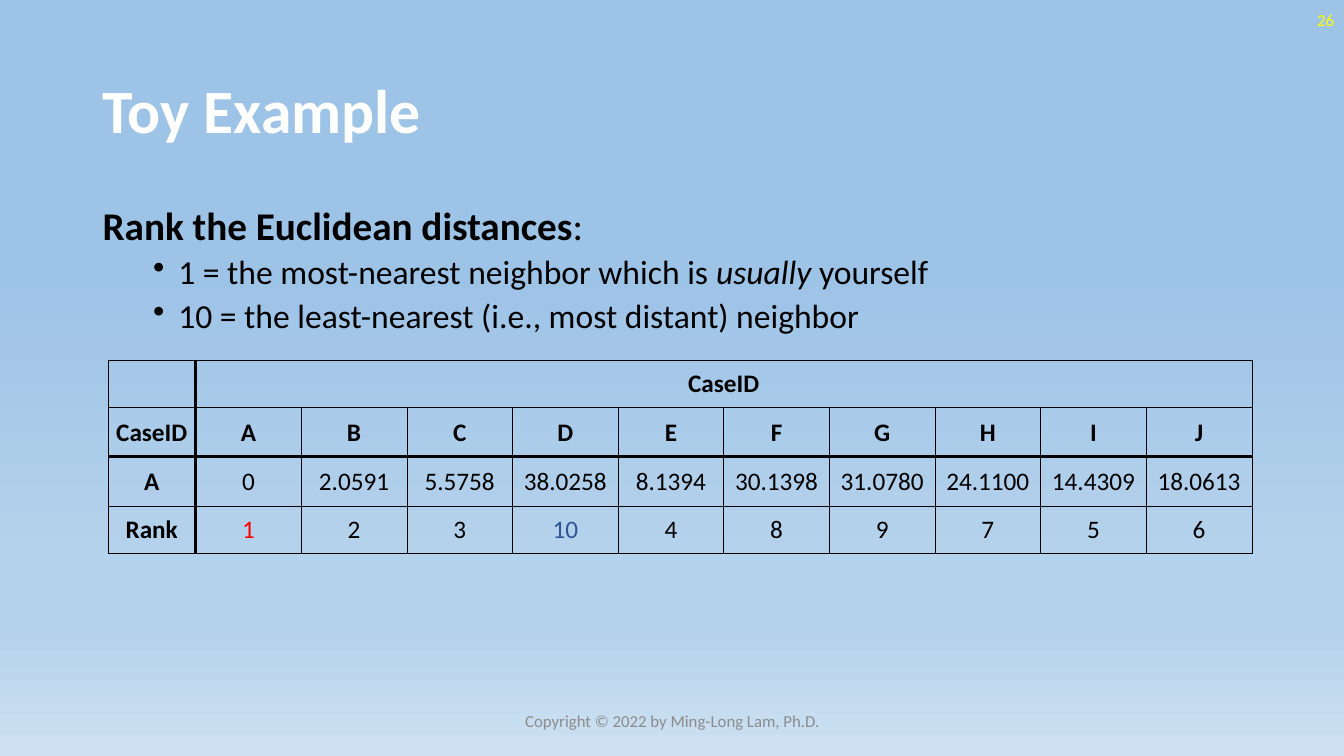
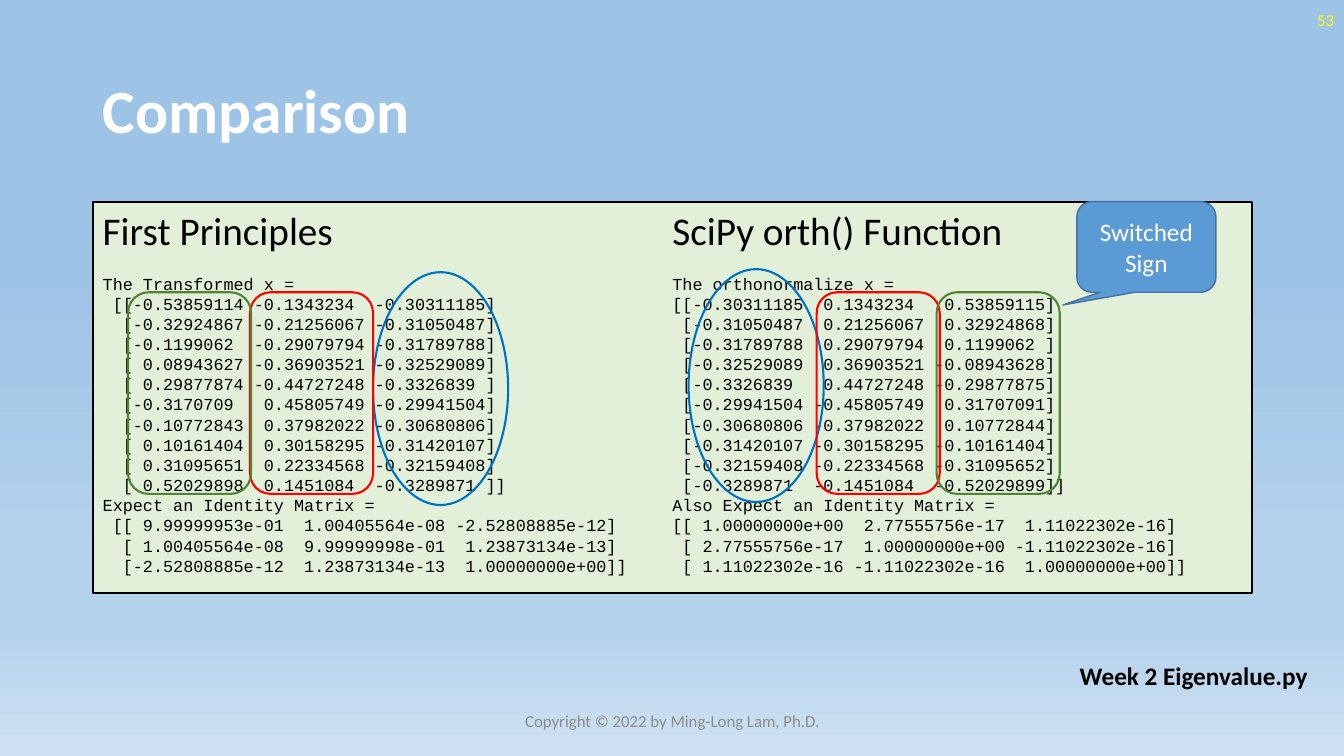
from dataclasses import dataclass

from lxml import etree
from pptx import Presentation
from pptx.dml import color as c
from pptx.enum import shapes as s, text as t
from pptx.oxml import ns
from pptx.util import Inches, Pt


@dataclass(frozen=True)
class Theme:
    font: str = "Calibri"
    code_font: str = "Courier New"
    black: str = "000000"
    white: str = "FFFFFF"
    number: str = "FFFF00"
    footer: str = "8C8C8C"
    panel: str = "E2F0D9"
    red: str = "FF0000"
    blue: str = "0070C0"
    green: str = "548235"
    farthest: str = "2F5597"
    callout: str = "5B9BD5"
    callout_line: str = "43739E"
    background: tuple = ((35, "9DC3E6"), (74, "B5D2EC"), (83, "B5D2EC"), (100, "CEE1F2"))
    title_size: float = 44
    heading_size: float = 28
    bullet_size: float = 24
    label_size: float = 18
    small_size: float = 12
    code_leading: float = 14.4
    thin: float = 0.5
    outline: float = 1.5
    thick: float = 2


THEME = Theme()
FOOTER = "Copyright © 2022 by Ming-Long Lam, Ph.D."

RANK_HEADING = [("Rank the Euclidean distances", {"bold": True}), (":", {})]
RANK_BULLETS = [
    [("1 = the most-nearest neighbor which is ", {}), ("usually", {"italic": True}),
     (" yourself", {})],
    "10 = the least-nearest (i.e., most distant) neighbor",
]
DISTANCE_ROWS = [
    ["", "CaseID"],
    ["CaseID", *"ABCDEFGHIJ"],
    ["A", "0", "2.0591", "5.5758", "38.0258", "8.1394", "30.1398", "31.0780",
     "24.1100", "14.4309", "18.0613"],
    ["Rank", "1", "2", "3", "10", "4", "8", "9", "7", "5", "6"],
]
RANK_COLORS = {"1": THEME.red, "10": THEME.farthest}

RESULTS = [
    ("First Principles", """\
The Transformed x =
 [[-0.53859114 -0.1343234  -0.30311185]
  [-0.32924867 -0.21256067 -0.31050487]
  [-0.1199062  -0.29079794 -0.31789788]
  [ 0.08943627 -0.36903521 -0.32529089]
  [ 0.29877874 -0.44727248 -0.3326839 ]
  [-0.3170709   0.45805749 -0.29941504]
  [-0.10772843  0.37982022 -0.30680806]
  [ 0.10161404  0.30158295 -0.31420107]
  [ 0.31095651  0.22334568 -0.32159408]
  [ 0.52029898  0.1451084  -0.3289871 ]]
Expect an Identity Matrix =
 [[ 9.99999953e-01  1.00405564e-08 -2.52808885e-12]
  [ 1.00405564e-08  9.99999998e-01  1.23873134e-13]
  [-2.52808885e-12  1.23873134e-13  1.00000000e+00]]"""),
    ("SciPy orth() Function", """\
The orthonormalize x =
[[-0.30311185  0.1343234   0.53859115]
 [-0.31050487  0.21256067  0.32924868]
 [-0.31789788  0.29079794  0.1199062 ]
 [-0.32529089  0.36903521 -0.08943628]
 [-0.3326839   0.44727248 -0.29877875]
 [-0.29941504 -0.45805749  0.31707091]
 [-0.30680806 -0.37982022  0.10772844]
 [-0.31420107 -0.30158295 -0.10161404]
 [-0.32159408 -0.22334568 -0.31095652]
 [-0.3289871  -0.1451084  -0.52029899]]
Also Expect an Identity Matrix =
[[ 1.00000000e+00  2.77555756e-17  1.11022302e-16]
 [ 2.77555756e-17  1.00000000e+00 -1.11022302e-16]
 [ 1.11022302e-16 -1.11022302e-16  1.00000000e+00]]"""),
]
OVAL_SIZE = (1.34, 2.31)
FRAME_SIZE = (1.22, 2)
COLUMN_MARKS = [
    (s.MSO_SHAPE.OVAL, THEME.blue, OVAL_SIZE, [(3.7, 2.7), (6.83, 2.67)]),
    (s.MSO_SHAPE.ROUNDED_RECTANGLE, THEME.red, FRAME_SIZE, [(2.48, 2.9), (8.1, 2.9)]),
    (s.MSO_SHAPE.ROUNDED_RECTANGLE, THEME.green, FRAME_SIZE, [(1.27, 2.9), (9.29, 2.9)]),
]


def rgb(value):
    return c.RGBColor.from_string(value)


def write(frame, content, size=THEME.label_size, color=THEME.black, font=THEME.font,
          bold=False, align=t.PP_ALIGN.LEFT, leading=None, before=0, after=0, bullet=False):
    """Add one paragraph; content is a string or a list of (text, format) runs."""
    paragraph = frame.paragraphs[0]
    if paragraph.runs:
        paragraph = frame.add_paragraph()
    paragraph.alignment = align
    paragraph.line_spacing = leading
    paragraph.space_before, paragraph.space_after = Pt(before), Pt(after)
    if bullet:
        properties = paragraph._p.get_or_add_pPr()
        properties.set("lvl", "1")
        properties.set("marL", str(Inches(0.75)))
        properties.set("indent", str(Inches(-0.25)))
        etree.SubElement(properties, ns.qn("a:buChar")).set("char", "•")
    runs = [(content, {})] if isinstance(content, str) else content
    for text, style in runs:
        run = paragraph.add_run()
        run.text = text
        run.font.name, run.font.size = font, Pt(size)
        run.font.color.rgb = rgb(color)
        run.font.bold = style.get("bold", bold)
        run.font.italic = style.get("italic", False)


def add_text_frame(slide, *box, anchor=t.MSO_ANCHOR.TOP, wrap=True):
    frame = slide.shapes.add_textbox(*map(Inches, box)).text_frame
    frame.word_wrap = wrap
    frame.vertical_anchor = anchor
    return frame


def add_outlined_shape(slide, kind, *box, line, fill=None, width=THEME.outline):
    shape = slide.shapes.add_shape(kind, *map(Inches, box))
    shape.shadow.inherit = False
    if fill:
        shape.fill.solid()
        shape.fill.fore_color.rgb = rgb(fill)
    else:
        shape.fill.background()
    shape.line.color.rgb = rgb(line)
    shape.line.width = Pt(width)
    return shape


def set_background(master):
    fill = master.background.fill
    fill.gradient()
    fill.gradient_angle = 270
    stops = master._element.find(".//" + ns.qn("a:gsLst"))
    for stop in list(stops):
        stops.remove(stop)
    for position, value in THEME.background:
        stop = etree.SubElement(stops, ns.qn("a:gs"), pos=str(position * 1000))
        etree.SubElement(stop, ns.qn("a:srgbClr"), val=value)


def add_titled_slide(presentation, title, number):
    slide = presentation.slides.add_slide(presentation.slide_layouts[5])
    shape = slide.shapes.title
    shape.left, shape.top, shape.width, shape.height = map(Inches, (0.92, 0.4, 11.5, 1.45))
    shape.text_frame.auto_size = t.MSO_AUTO_SIZE.NONE
    shape.text_frame.vertical_anchor = t.MSO_ANCHOR.MIDDLE
    write(shape.text_frame, title, size=THEME.title_size, color=THEME.white, bold=True,
          leading=0.9)
    for text, box, color, align in (
        (number, (10.33, 0, 3, 0.4), THEME.number, t.PP_ALIGN.RIGHT),
        (FOOTER, (4.42, 6.95, 4.5, 0.4), THEME.footer, t.PP_ALIGN.CENTER),
    ):
        frame = add_text_frame(slide, *box, anchor=t.MSO_ANCHOR.MIDDLE)
        write(frame, text, size=THEME.small_size, color=color, align=align)
    return slide


def set_borders(cell, **widths):
    """Draw black borders; keys are L, R, T and B, values are points."""
    properties = cell._tc.get_or_add_tcPr()
    for side, width in widths.items():
        line = etree.SubElement(properties, ns.qn(f"a:ln{side}"), w=str(Pt(width)))
        fill = etree.SubElement(line, ns.qn("a:solidFill"))
        etree.SubElement(fill, ns.qn("a:srgbClr"), val=THEME.black)


def add_distance_table(slide):
    left, top, width, first_width = 1.07, 3.57, 11.35, 0.87
    heights = [0.47, 0.49, 0.49, 0.47]
    row_count, column_count = len(DISTANCE_ROWS), len(DISTANCE_ROWS[1])
    table = slide.shapes.add_table(
        row_count, column_count, *map(Inches, (left, top, width, sum(heights)))).table
    table.first_row = table.horz_banding = False
    for index, column in enumerate(table.columns):
        column.width = Inches((width - first_width) / (column_count - 1) if index
                              else first_width)
    for row, height in zip(table.rows, heights):
        row.height = Inches(height)
    table.cell(0, 1).merge(table.cell(0, column_count - 1))

    for i in range(row_count):
        for j in range(column_count):
            cell = table.cell(i, j)
            cell.margin_left = cell.margin_right = cell.margin_top = Inches(0.01)
            cell.margin_bottom = 0
            cell.vertical_anchor = t.MSO_ANCHOR.MIDDLE
            set_borders(cell,
                        L=THEME.thick if j == 1 else THEME.thin,
                        R=THEME.thick if j == 0 else THEME.thin,
                        T=THEME.thick if i == 2 else THEME.thin,
                        B=THEME.thick if i == 1 else THEME.thin)
            cell.fill.background()
            text = DISTANCE_ROWS[i][j] if j < len(DISTANCE_ROWS[i]) else ""
            if text:
                is_rank = i == row_count - 1
                write(cell.text_frame, text, bold=i < 2 or j == 0, align=t.PP_ALIGN.CENTER,
                      color=RANK_COLORS.get(text, THEME.black) if is_rank else THEME.black)


def build_toy_example(presentation):
    slide = add_titled_slide(presentation, "Toy Example", "26")
    frame = add_text_frame(slide, 0.92, 2, 11.5, 1.5)
    write(frame, RANK_HEADING, size=THEME.heading_size, leading=0.9)
    for bullet in RANK_BULLETS:
        write(frame, bullet, size=THEME.bullet_size, leading=0.9, before=5, bullet=True)
    add_distance_table(slide)


def build_comparison(presentation):
    slide = add_titled_slide(presentation, "Comparison", "53")
    left, top, width, height = 0.92, 2, 11.5, 3.88
    add_outlined_shape(slide, s.MSO_SHAPE.RECTANGLE, left, top, width, height,
                       line=THEME.black, fill=THEME.panel)
    column_width = 5.65
    for index, (heading, output) in enumerate(RESULTS):
        frame = add_text_frame(slide, left + index * column_width, top, column_width, height)
        write(frame, heading, size=THEME.heading_size, after=14)
        for line in output.splitlines():
            write(frame, line, size=THEME.small_size, font=THEME.code_font,
                  leading=Pt(THEME.code_leading))

    frame = add_text_frame(slide, 10.61, 6.5, 2.48, 0.4, wrap=False)
    write(frame, "Week 2 Eigenvalue.py", bold=True)

    for kind, color, size, corners in COLUMN_MARKS:
        for corner in corners:
            add_outlined_shape(slide, kind, *corner, *size, line=color)

    callout = add_outlined_shape(
        slide, s.MSO_SHAPE.ROUNDED_RECTANGULAR_CALLOUT, 10.68, 2, 1.38, 0.9,
        line=THEME.callout_line, fill=THEME.callout, width=1)
    callout.adjustments[0], callout.adjustments[1] = -0.6, 0.64
    callout.text_frame.vertical_anchor = t.MSO_ANCHOR.MIDDLE
    write(callout.text_frame, "Switched Sign", color=THEME.white, align=t.PP_ALIGN.CENTER)


def main():
    presentation = Presentation()
    presentation.slide_width, presentation.slide_height = Inches(13.33), Inches(7.5)
    set_background(presentation.slide_master)
    build_toy_example(presentation)
    build_comparison(presentation)
    presentation.save("out.pptx")


if __name__ == "__main__":
    main()
